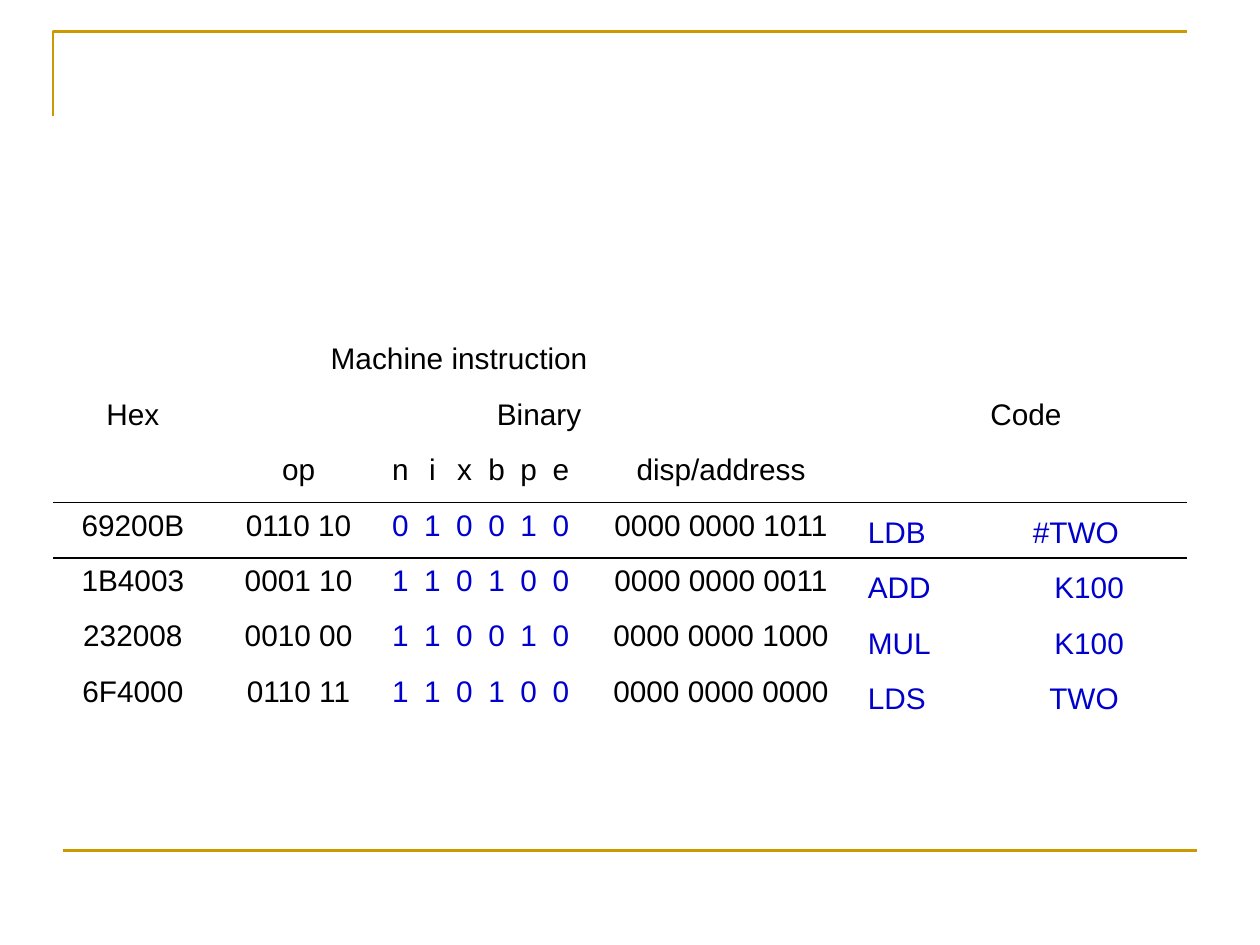
from typing import NamedTuple

from lxml import etree
from pptx import Presentation
from pptx.dml.color import RGBColor
from pptx.enum import shapes, text
from pptx.oxml import ns
from pptx.util import Inches, Pt

COLORS = {"gold": "CC9900", "ink": "000000", "blue": "0000CC"}
FONT, FONT_SIZE = "Arial", Pt(17)
PLAIN_TABLE = "{2D5ABB26-0587-4C30-8999-92F81FD0307C}"
FLAGS = "nixbpe"
BIT_COLUMN = 2
ADDRESS_COLUMN = BIT_COLUMN + len(FLAGS)
CODE_COLUMN = ADDRESS_COLUMN + 1
HEADER_ROWS = 3
COLUMN_WIDTHS = [1.27, 1.36, *[1.53 / len(FLAGS)] * len(FLAGS), 2.29, 2.55]
ROW_HEIGHT = 0.44


class Instruction(NamedTuple):
    hex_code: str
    opcode: str
    bits: str
    address: str
    mnemonic: str
    operand: str
    operand_indent: float


INSTRUCTIONS = [
    Instruction("69200B", "0110 10", "010010", "0000 0000 1011", "LDB", "#TWO", 1.31),
    Instruction("1B4003", "0001 10", "110100", "0000 0000 0011", "ADD", "K100", 1.48),
    Instruction("232008", "0010 00", "110010", "0000 0000 1000", "MUL", "K100", 1.48),
    Instruction("6F4000", "0110 11", "110100", "0000 0000 0000", "LDS", "TWO", 1.44),
]


def rgb(name: str) -> RGBColor:
    return RGBColor.from_string(COLORS[name])


def write(cell, words: str, color: str = "ink", align=text.PP_ALIGN.CENTER):
    paragraph = cell.text_frame.paragraphs[0]
    paragraph.text = words
    paragraph.alignment = align
    paragraph.font.name, paragraph.font.size = FONT, FONT_SIZE
    paragraph.font.color.rgb = rgb(color)
    return paragraph


def write_code(cell, instruction: Instruction) -> None:
    """Mnemonic and operand, parted by a tab stop."""
    paragraph = write(cell, f"{instruction.mnemonic}\t{instruction.operand}",
                      "blue", text.PP_ALIGN.LEFT)
    cell.margin_top = Inches(0.11)
    properties = paragraph._p.get_or_add_pPr()
    stops = etree.Element(ns.qn("a:tabLst"))
    etree.SubElement(stops, ns.qn("a:tab"), algn="l",
                     pos=str(Inches(instruction.operand_indent)))
    properties.find(ns.qn("a:defRPr")).addprevious(stops)


def add_border(cell, side: str) -> None:
    border = etree.Element(ns.qn(f"a:ln{side}"), w=str(Pt(0.96)))
    fill = etree.SubElement(border, ns.qn("a:solidFill"))
    etree.SubElement(fill, ns.qn("a:srgbClr"), val=COLORS["ink"])
    cell._tc.get_or_add_tcPr().insert(0, border)


def add_frame(slide) -> None:
    builder = slide.shapes.build_freeform(Inches(0.42), Inches(0.92))
    builder.add_line_segments([(Inches(0.42), Inches(0.25)),
                               (Inches(9.42), Inches(0.25))], close=False)
    corner = builder.convert_to_shape()
    corner.fill.background()
    corner.shadow.inherit = False

    bottom = slide.shapes.add_connector(
        shapes.MSO_CONNECTOR.STRAIGHT,
        Inches(0.5), Inches(6.75), Inches(9.5), Inches(6.75))
    etree.SubElement(bottom._element.spPr, ns.qn("a:effectLst"))
    for rule in (corner, bottom):
        rule.line.color.rgb = rgb("gold")
        rule.line.width = Pt(1.5)


def add_instruction_table(slide) -> None:
    row_count = HEADER_ROWS + len(INSTRUCTIONS)
    table = slide.shapes.add_table(
        row_count, len(COLUMN_WIDTHS), Inches(0.42), Inches(2.67),
        Inches(sum(COLUMN_WIDTHS)), Inches(ROW_HEIGHT * row_count)).table
    table.first_row = table.horz_banding = False
    table._tbl.tblPr.find(ns.qn("a:tableStyleId")).text = PLAIN_TABLE
    for column, width in zip(table.columns, COLUMN_WIDTHS):
        column.width = Inches(width)
    for row in table.rows:
        row.height = Inches(ROW_HEIGHT)
        for cell in row.cells:
            cell.fill.background()
            cell.margin_left = cell.margin_right = Inches(0.02)

    # Merged headings
    table.cell(0, 0).merge(table.cell(0, ADDRESS_COLUMN))
    table.cell(1, 1).merge(table.cell(1, ADDRESS_COLUMN))
    table.cell(1, CODE_COLUMN).merge(table.cell(2, CODE_COLUMN))
    write(table.cell(0, 0), "Machine instruction")
    for column, heading in ((0, "Hex"), (1, "Binary"), (CODE_COLUMN, "Code")):
        write(table.cell(1, column), heading)
    for column, heading in enumerate(["op", *FLAGS, "disp/address"], start=1):
        write(table.cell(2, column), heading)

    # Instructions
    for row, instruction in enumerate(INSTRUCTIONS, start=HEADER_ROWS):
        values = [instruction.hex_code, instruction.opcode,
                  *instruction.bits, instruction.address]
        for column, value in enumerate(values):
            is_bit = BIT_COLUMN <= column < ADDRESS_COLUMN
            write(table.cell(row, column), value, "blue" if is_bit else "ink")
        write_code(table.cell(row, CODE_COLUMN), instruction)

    # Rule under the headings
    for column in range(len(COLUMN_WIDTHS)):
        add_border(table.cell(HEADER_ROWS - 1, column), "B")
        add_border(table.cell(HEADER_ROWS, column), "T")


def main() -> None:
    deck = Presentation()
    deck.slide_width, deck.slide_height = Inches(10), Inches(7.5)
    slide = deck.slides.add_slide(deck.slide_layouts.get_by_name("Blank"))
    add_frame(slide)
    add_instruction_table(slide)
    deck.save("out.pptx")


if __name__ == "__main__":
    main()
